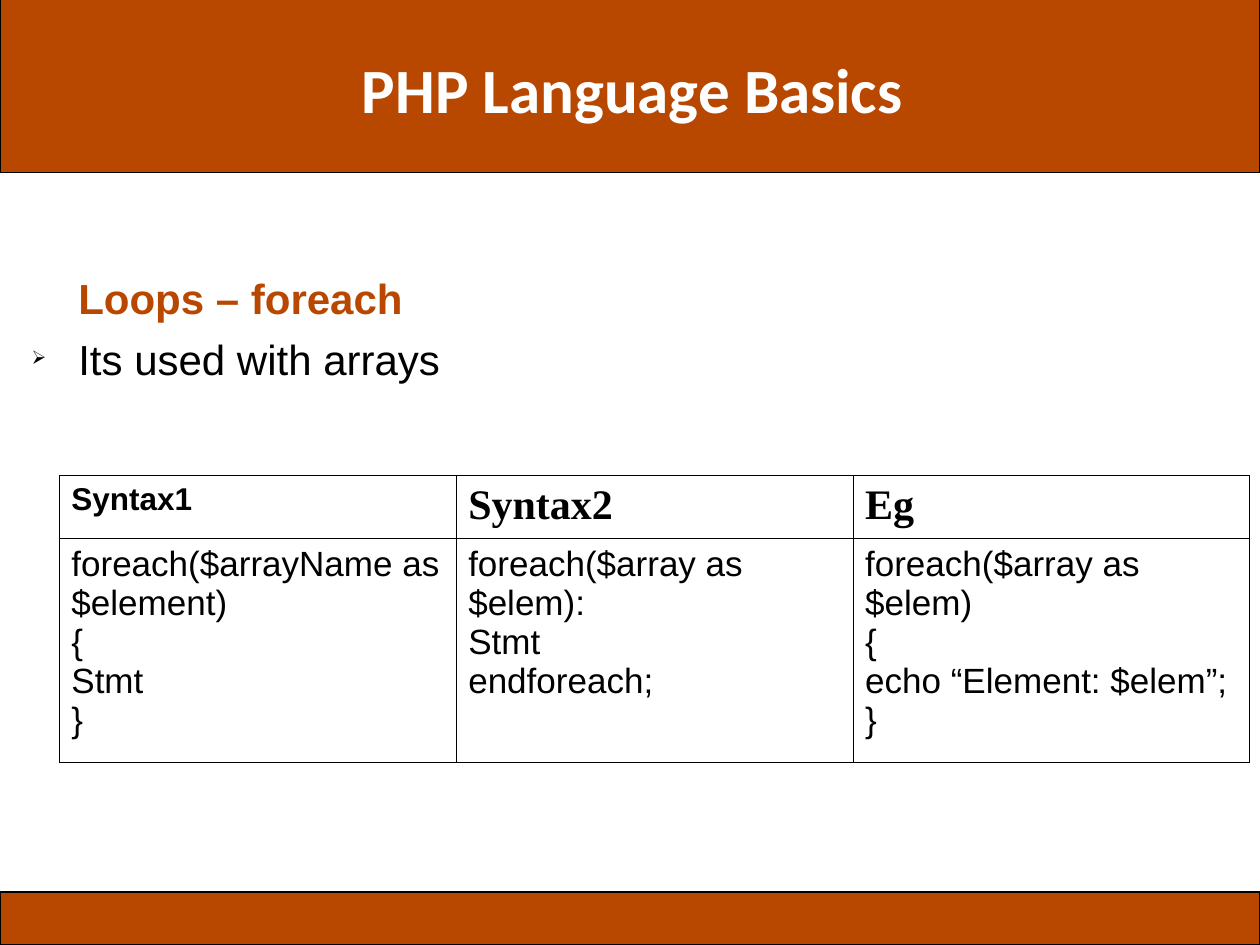
import pptx
import pptx.dml.color
import pptx.enum.shapes
import pptx.enum.text
import pptx.util
from lxml import etree
from pptx.util import Cm, Pt

RUST, BLACK, WHITE = "B84700", "000000", "FFFFFF"
BANDS = [(-0.51, 3.99), (17.98, 1.07)]
TITLE = "PHP Language Basics"
TOPIC = "Loops – foreach"
USAGE = "Its used with arrays"
HEADINGS = [
    ("Syntax1", 18, "Arial"),
    ("Syntax2", 24, "Times New Roman"),
    ("Eg", 24, "Times New Roman"),
]
LOOPS = [
    ["foreach($arrayName as $element)", "{", "Stmt", "}"],
    ["foreach($array as $elem):", "Stmt", "endforeach;"],
    ["foreach($array as $elem)", "{", "echo “Element: $elem”;", "}"],
]
COLUMN_WIDTH = 8
ROW_HEIGHTS = [1.27, 4.5]


def rgb(color):
    return pptx.dml.color.RGBColor.from_string(color)


def add_element(parent, tag, **attributes):
    return etree.SubElement(parent, pptx.oxml.ns.qn(tag), attributes)


def add_run(paragraph, words, size, font="Arial", color=BLACK, bold=False):
    run = paragraph.add_run()
    run.text = words
    run.font.size = Pt(size)
    run.font.name = font
    run.font.bold = bold
    run.font.color.rgb = rgb(color)


def add_text_frame(slide, left, top, width, height):
    frame = slide.shapes.add_textbox(Cm(left), Cm(top), Cm(width), Cm(height)).text_frame
    frame.word_wrap = True
    frame.margin_left = frame.margin_right = frame.margin_top = frame.margin_bottom = 0
    return frame


def indent(paragraph, hanging=0.0, bullet=None):
    paragraph.line_spacing = 0.93
    properties = paragraph._p.get_or_add_pPr()
    properties.set("marL", str(Cm(0.94)))
    properties.set("indent", str(Cm(-hanging)))
    if bullet:
        add_element(add_element(properties, "a:buClr"), "a:srgbClr", val=BLACK)
        add_element(properties, "a:buSzPct", val="45000")
        add_element(properties, "a:buChar", char=bullet)


def style_cell(cell):
    cell.margin_left = cell.margin_right = Cm(0.25)
    cell.margin_top = cell.margin_bottom = Cm(0.13)
    properties = cell._tc.get_or_add_tcPr()
    for side in ("a:lnL", "a:lnR", "a:lnT", "a:lnB"):
        border = add_element(properties, side, w="720")
        add_element(add_element(border, "a:solidFill"), "a:srgbClr", val=BLACK)
    cell.fill.background()


def add_syntax_table(slide):
    table = slide.shapes.add_table(
        2, len(HEADINGS), Cm(1.19), Cm(9.58),
        Cm(COLUMN_WIDTH * len(HEADINGS)), Cm(sum(ROW_HEIGHTS)),
    ).table
    table.first_row = table.horz_banding = False
    for row, height in zip(table.rows, ROW_HEIGHTS):
        row.height = Cm(height)
    for index, ((heading, size, font), loop) in enumerate(zip(HEADINGS, LOOPS)):
        table.columns[index].width = Cm(COLUMN_WIDTH)
        heading_cell, loop_cell = table.cell(0, index), table.cell(1, index)
        style_cell(heading_cell)
        style_cell(loop_cell)
        add_run(heading_cell.text_frame.paragraphs[0], heading, size, font, bold=True)
        code = loop_cell.text_frame
        for number, line in enumerate(loop):
            add_run(code.add_paragraph() if number else code.paragraphs[0], line, 20)


def main():
    deck = pptx.Presentation()
    deck.slide_width, deck.slide_height = Cm(25.4), Cm(19.05)
    slide = deck.slides.add_slide(deck.slide_layouts[6])

    for top, height in BANDS:
        band = slide.shapes.add_shape(
            pptx.enum.shapes.MSO_SHAPE.RECTANGLE, 0, Cm(top), deck.slide_width, Cm(height))
        band.shadow.inherit = False
        band.fill.solid()
        band.fill.fore_color.rgb = rgb(RUST)
        band.line.color.rgb = rgb(BLACK)
        band.line.width = Pt(1)

    title = add_text_frame(slide, 5, 1.12, 15.5, 1.47)
    title.vertical_anchor = pptx.enum.text.MSO_ANCHOR.MIDDLE
    heading = title.paragraphs[0]
    heading.alignment = pptx.enum.text.PP_ALIGN.CENTER
    heading.line_spacing = 0.93
    add_run(heading, TITLE, 36, "Calibri", WHITE, True)

    body = add_text_frame(slide, 0.64, 5.59, 23.37, 12.78)
    topic = body.paragraphs[0]
    indent(topic)
    add_run(topic, TOPIC, 24, color=RUST, bold=True)
    usage = body.add_paragraph()
    usage.space_before = Pt(8)
    indent(usage, hanging=0.94, bullet="➢")
    add_run(usage, USAGE, 24)

    add_syntax_table(slide)
    deck.save("out.pptx")


if __name__ == "__main__":
    main()
